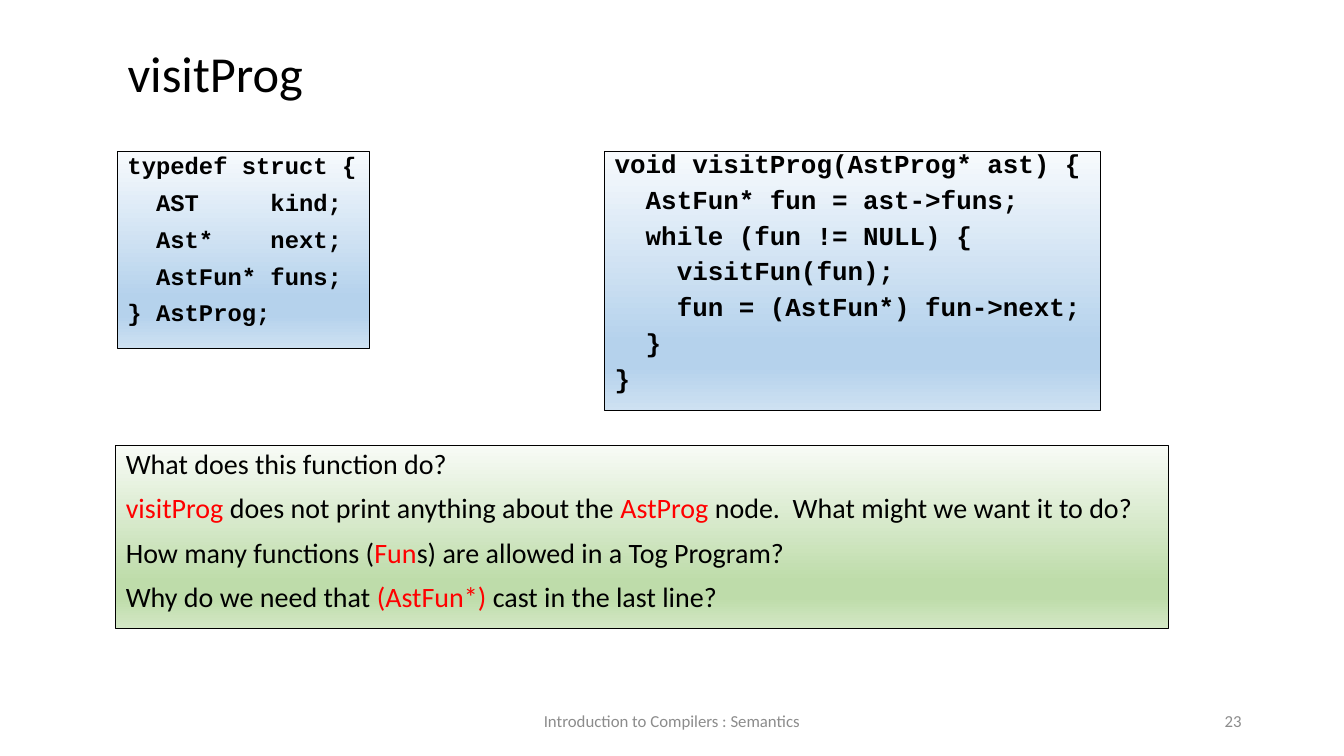
from lxml import etree
from pptx import Presentation
from pptx.dml.color import RGBColor
from pptx.enum.shapes import MSO_SHAPE
from pptx.enum.text import MSO_ANCHOR, PP_ALIGN
from pptx.oxml.ns import qn
from pptx.util import Pt

RECT = MSO_SHAPE.RECTANGLE
TOP, MIDDLE = MSO_ANCHOR.TOP, MSO_ANCHOR.MIDDLE
LEFT, CENTER, RIGHT = PP_ALIGN.LEFT, PP_ALIGN.CENTER, PP_ALIGN.RIGHT

BLACK, RED, GRAY = "000000", "FF0000", "8C8C8C"
BLUES = ("F7FAFD", "B5D2EC", "B5D2EC", "CEE1F2")
GREENS = ("F8FBF6", "BEDCAA", "BEDCAA", "D4E8C6")
STOPS = (0, 74, 83, 100)

TITLE = "visitProg"
FOOTER = "Introduction to Compilers : Semantics"
PAGE = "23"

STRUCT_CODE = [
    "typedef struct {",
    "  AST     kind;",
    "  Ast*    next;",
    "  AstFun* funs;",
    "} AstProg;",
]
VISIT_CODE = [
    "void visitProg(AstProg* ast) {",
    "  AstFun* fun = ast->funs;",
    "  while (fun != NULL) {",
    "    visitFun(fun);",
    "    fun = (AstFun*) fun->next;",
    "  }",
    "}",
]
# Runs alternate between black and red, starting with black.
QUESTIONS = [
    ["What does this function do?"],
    ["", "visitProg", " does not print anything about the ", "AstProg",
     " node.  What might we want it to do?"],
    ["How many functions (", "Fun", "s) are allowed in a Tog Program?"],
    ["Why do we need that ", "(AstFun*)", " cast in the last line?"],
]


def rgb(color):
    return RGBColor.from_string(color)


def write(shape, lines, size, color=BLACK, font="Calibri", bold=False,
          spacing=1.0, align=LEFT, anchor=TOP):
    """Fill a shape with lines; each line is a list of runs, every second one red."""
    frame = shape.text_frame
    frame.word_wrap = True
    frame.vertical_anchor = anchor
    for number, line in enumerate(lines):
        paragraph = frame.add_paragraph() if number else frame.paragraphs[0]
        paragraph.alignment = align
        paragraph.line_spacing = spacing
        if number:
            paragraph.space_before = Pt(10)
        for position, words in enumerate(line):
            if not words:
                continue
            run = paragraph.add_run()
            run.text = words
            run.font.name = font
            run.font.size = Pt(size)
            run.font.bold = bold
            run.font.color.rgb = rgb(RED if position % 2 else color)


def add_label(slide, box, words, size, **style):
    label = slide.shapes.add_textbox(*map(Pt, box))
    write(label, [[words]], size, anchor=MIDDLE, **style)


def add_panel(slide, box, colors, lines, size, **style):
    """Add a bordered rectangle shaded from top to bottom."""
    panel = slide.shapes.add_shape(RECT, *map(Pt, box))
    panel.shadow.inherit = False
    panel.line.color.rgb = rgb(BLACK)
    panel.line.width = Pt(0.75)
    panel.fill.gradient()
    panel.fill.gradient_angle = 270
    stop_list = panel.fill._fill._gradFill.find(qn("a:gsLst"))
    for stop in list(stop_list):
        stop_list.remove(stop)
    for percent, color in zip(STOPS, colors):
        stop = etree.SubElement(stop_list, qn("a:gs"), pos=str(percent * 1000))
        etree.SubElement(stop, qn("a:srgbClr"), val=color)
    write(panel, lines, size, **style)


def main():
    deck = Presentation()
    deck.slide_width, deck.slide_height = Pt(960), Pt(540)
    slide = deck.slides.add_slide(deck.slide_layouts[6])

    add_label(slide, (84, 29.5, 620.6, 49.7), TITLE, 36, spacing=0.9)

    code_panels = [
        ((84, 108, 180, 141), STRUCT_CODE, 17, 0.8),
        ((432, 108, 354, 185.5), VISIT_CODE, 18.5, 0.7),
    ]
    for box, code, size, spacing in code_panels:
        add_panel(slide, box, BLUES, [[line] for line in code], size,
                  font="Courier New", bold=True, spacing=spacing)

    add_panel(slide, (82.8, 318.2, 751.7, 131), GREENS, QUESTIONS, 20, spacing=0.9)

    add_label(slide, (318, 500.5, 324, 28.75), FOOTER, 12, color=GRAY, align=CENTER)
    add_label(slide, (678, 500.5, 216, 28.75), PAGE, 12, color=GRAY, align=RIGHT)

    deck.save("out.pptx")


if __name__ == "__main__":
    main()
